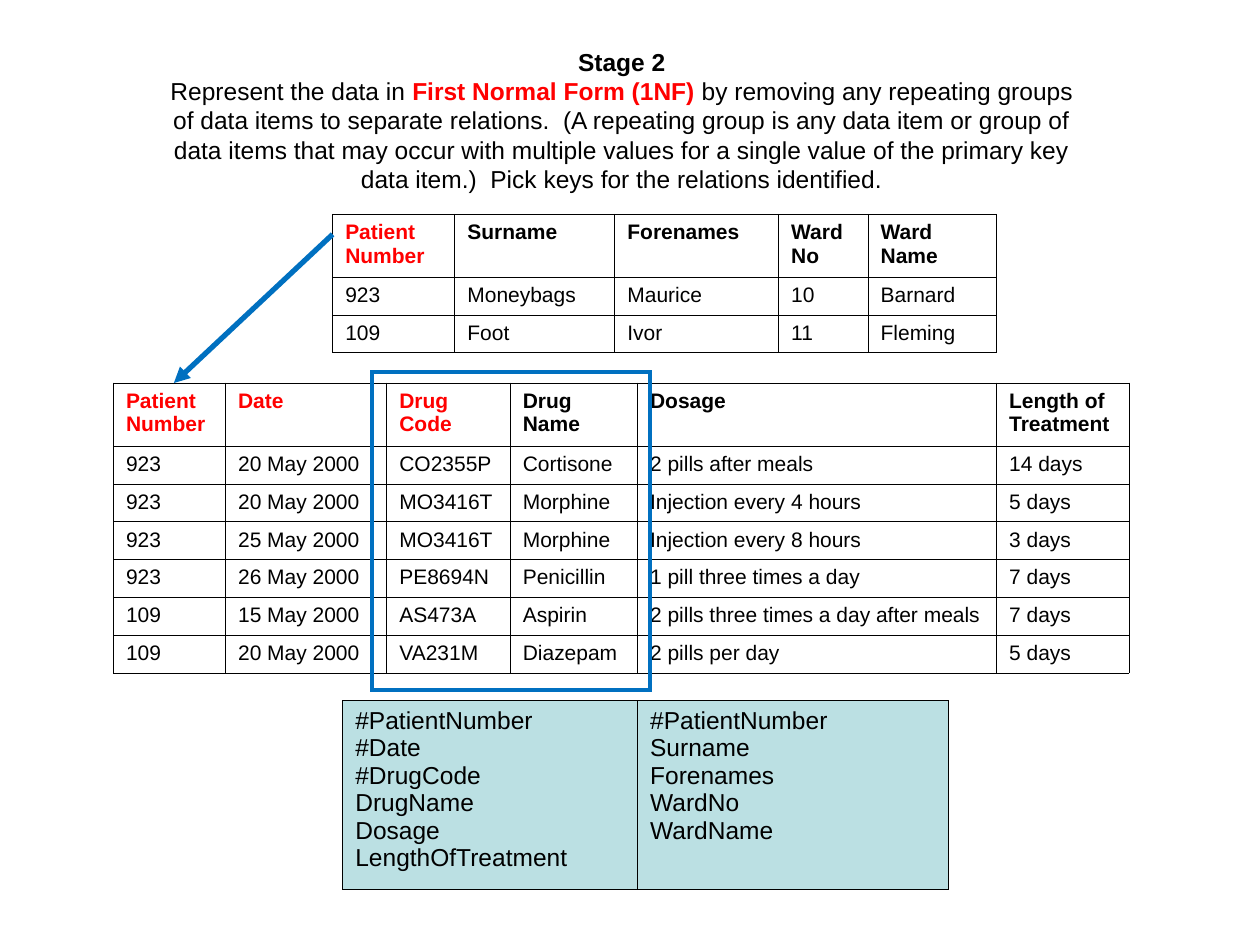
from lxml.etree import SubElement
from pptx import Presentation
from pptx.dml.color import RGBColor
from pptx.enum.shapes import MSO_CONNECTOR, MSO_SHAPE
from pptx.enum.text import MSO_ANCHOR, MSO_AUTO_SIZE, PP_ALIGN
from pptx.oxml.ns import qn
from pptx.util import Inches, Pt

FONT = "Arial"
HUES = {"text": "000000", "key": "FF0000", "mark": "0070C0", "tint": "BBE0E3"}

HEAD = [
    [("Stage 2", "text", True)],
    [
        ("Represent the data in ", "text", False),
        ("First Normal Form (1NF) ", "key", True),
        ("by removing any repeating groups of data items to separate relations.  "
         "(A repeating group is any data item or group of data items that may occur "
         "with multiple values for a single value of the primary key data item.)  "
         "Pick keys for the relations identified.", "text", False),
    ],
]
WARDS = {
    "at": (2.64, 1.7), "cols": [0.97, 1.27, 1.3, 0.71, 1.02], "keys": 1,
    "rows": [
        ["Patient Number", "Surname", "Forenames", "Ward No", "Ward Name"],
        ["923", "Moneybags", "Maurice", "10", "Barnard"],
        ["109", "Foot", "Ivor", "11", "Fleming"],
    ],
}
DRUGS = {
    "at": (0.9, 3.04), "cols": [0.89, 1.28, 0.98, 1.01, 2.85, 1.05], "keys": 3,
    "rows": [
        ["Patient Number", "Date", "Drug Code", "Drug Name", "Dosage", "Length of Treatment"],
        ["923", "20 May 2000", "CO2355P", "Cortisone", "2 pills after meals", "14 days"],
        ["923", "20 May 2000", "MO3416T", "Morphine", "Injection every 4 hours", "5 days"],
        ["923", "25 May 2000", "MO3416T", "Morphine", "Injection every 8 hours", "3 days"],
        ["923", "26 May 2000", "PE8694N", "Penicillin", "1 pill three times a day", "7 days"],
        ["109", "15 May 2000", "AS473A", "Aspirin", "2 pills three times a day after meals", "7 days"],
        ["109", "20 May 2000", "VA231M", "Diazepam", "2 pills per day", "5 days"],
    ],
}
FIELDS = {
    "at": (2.72, 5.56), "cols": [2.34, 2.47],
    "rows": [[
        "#PatientNumber\n#Date\n#DrugCode\nDrugName\nDosage\nLengthOfTreatment",
        "#PatientNumber\nSurname\nForenames\nWardNo\nWardName",
    ]],
}


def hue(name):
    return RGBColor.from_string(HUES[name])


def style(font, size, name="text", bold=False):
    font.name, font.size, font.bold = FONT, Pt(size), bold
    font.color.rgb = hue(name)


def border(cell):
    props = cell._tc.get_or_add_tcPr()
    for side in "LRTB":
        line = SubElement(props, qn(f"a:ln{side}"), w=str(Pt(0.45)))
        fill = SubElement(line, qn("a:solidFill"))
        SubElement(fill, qn("a:srgbClr"), val=HUES["text"])


def grid(slide, data, highs, size, head=True, tint=None):
    rows, cols = data["rows"], data["cols"]
    left, top = data["at"]
    table = slide.shapes.add_table(
        len(rows), len(cols), Inches(left), Inches(top),
        Inches(sum(cols)), Inches(sum(highs))).table
    table.first_row = table.horz_banding = False
    for col, wide in zip(table.columns, cols):
        col.width = Inches(wide)
    for r, (row, high) in enumerate(zip(rows, highs)):
        table.rows[r].height = Inches(high)
        for c, text in enumerate(row):
            cell = table.cell(r, c)
            cell.text = text
            border(cell)
            if tint:
                cell.fill.solid()
                cell.fill.fore_color.rgb = hue(tint)
            else:
                cell.fill.background()
            bold = head and r == 0
            name = "key" if bold and c < data["keys"] else "text"
            for para in cell.text_frame.paragraphs:
                style(para.font, size, name, bold)


def title(slide):
    box = slide.shapes.title
    box.left, box.top, box.width, box.height = map(Inches, (1.22, 0.32, 7.43, 1.5))
    frame = box.text_frame
    frame.word_wrap = True
    frame.auto_size = MSO_AUTO_SIZE.NONE
    frame.vertical_anchor = MSO_ANCHOR.TOP
    for i, runs in enumerate(HEAD):
        para = frame.add_paragraph() if i else frame.paragraphs[0]
        para.alignment = PP_ALIGN.CENTER
        for text, name, bold in runs:
            run = para.add_run()
            run.text = text
            style(run.font, 14, name, bold)


def arrow(slide, start, end):
    line = slide.shapes.add_connector(
        MSO_CONNECTOR.STRAIGHT, *map(Inches, (*start, *end)))
    line.line.color.rgb = hue("mark")
    line.line.width = Pt(3)
    SubElement(line.line._get_or_add_ln(), qn("a:tailEnd"), type="triangle")
    SubElement(line._element.spPr, qn("a:effectLst"))


def frame(slide, *spot):
    box = slide.shapes.add_shape(MSO_SHAPE.RECTANGLE, *map(Inches, spot))
    box.shadow.inherit = False
    box.fill.background()
    box.line.color.rgb = hue("mark")
    box.line.width = Pt(2.25)
    SubElement(box.line._get_or_add_ln(), qn("a:miter"), lim="800000")


def main():
    deck = Presentation()
    deck.slide_width, deck.slide_height = Inches(10), Inches(7.5)
    slide = deck.slides.add_slide(deck.slide_layouts[5])
    title(slide)
    for data in (WARDS, DRUGS):
        grid(slide, data, [0.5] + [0.3] * (len(data["rows"]) - 1), 12)
    grid(slide, FIELDS, [1.5], 14, head=False, tint="tint")
    arrow(slide, (WARDS["at"][0], 1.86), (1.38, DRUGS["at"][1]))
    frame(slide, 2.95, 2.95, 2.21, 2.53)
    deck.save("out.pptx")


if __name__ == "__main__":
    main()
